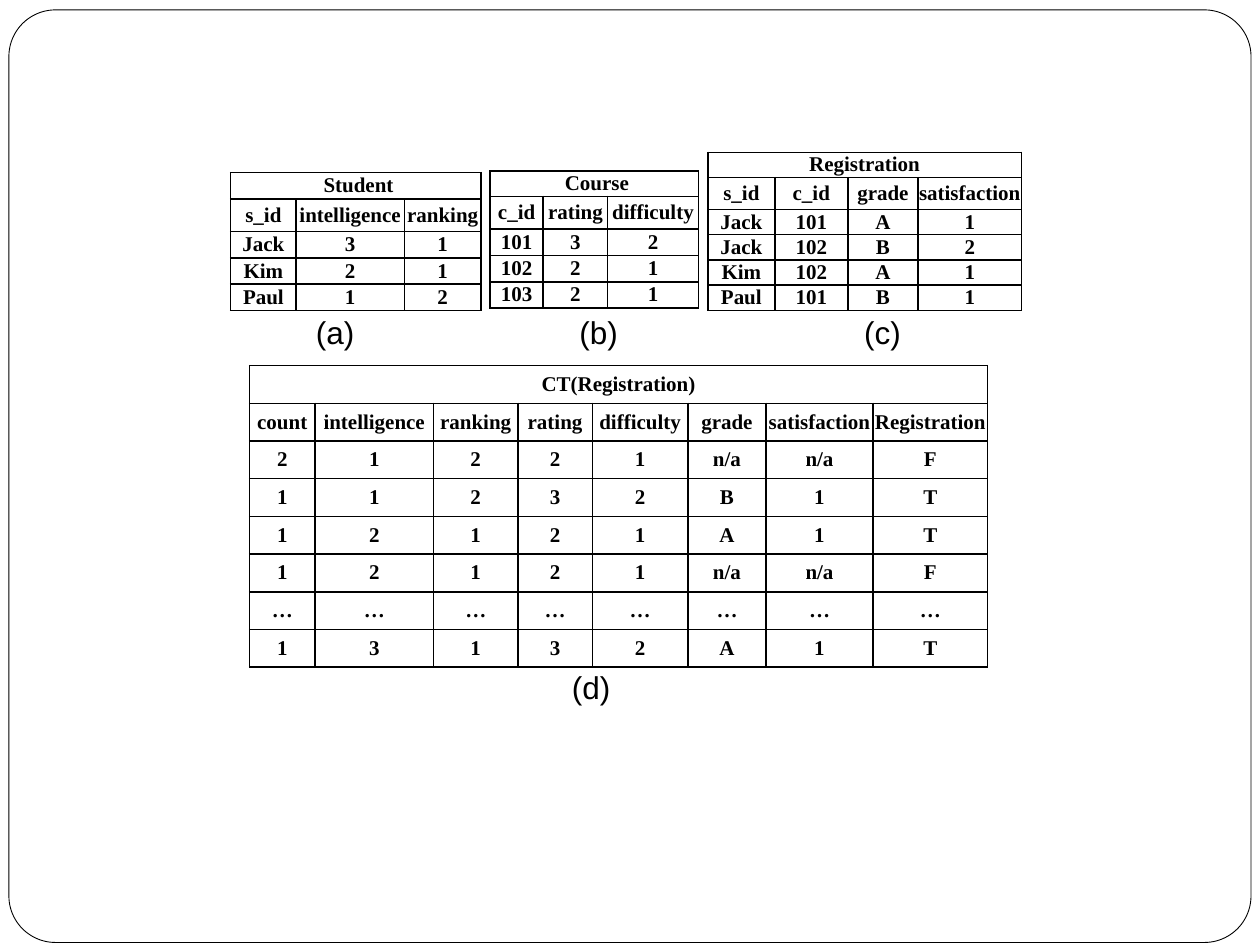
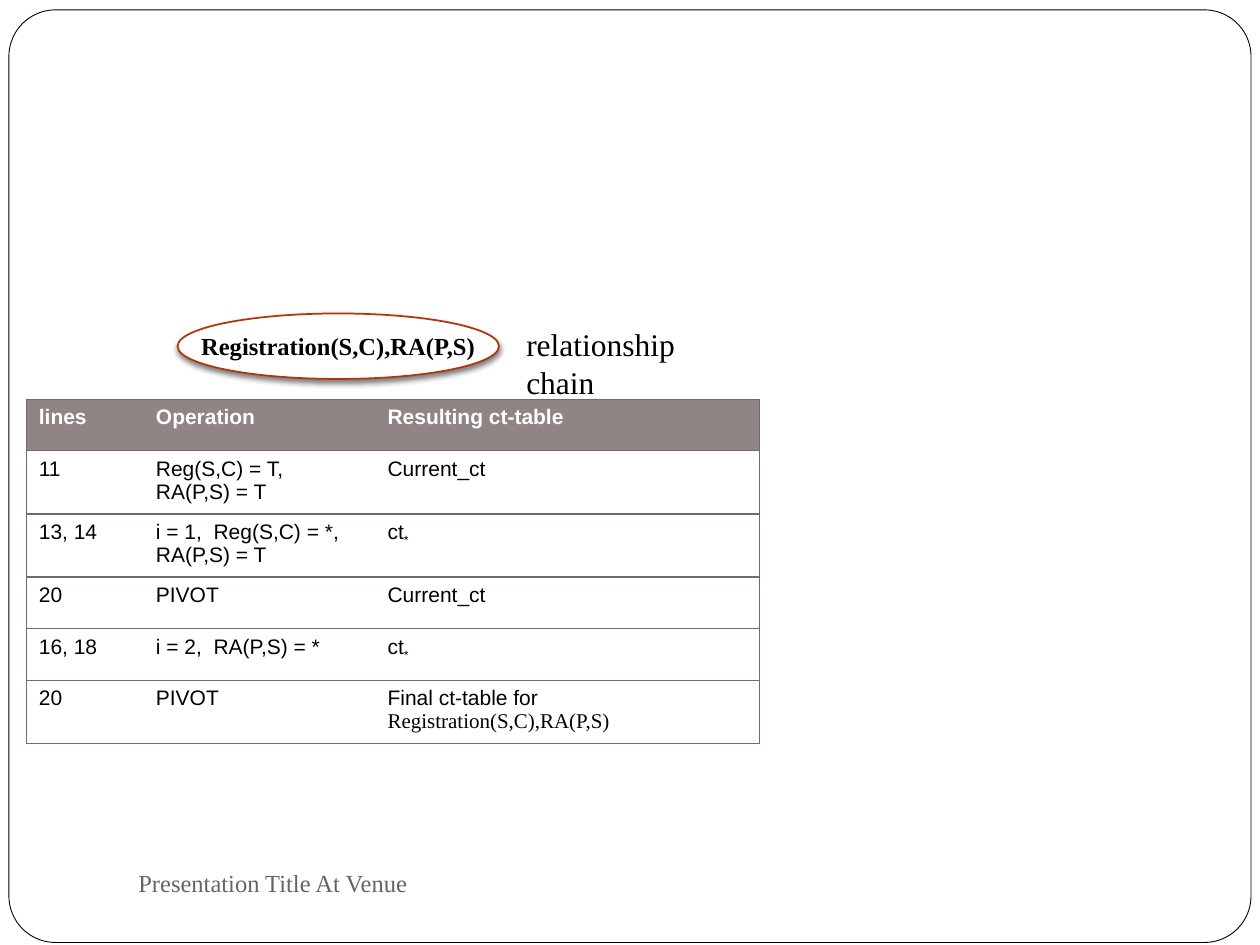
from dataclasses import dataclass
from lxml.etree import SubElement
from pptx import Presentation
from pptx.dml.color import RGBColor
from pptx.enum.shapes import MSO_SHAPE
from pptx.enum.text import MSO_ANCHOR, PP_ALIGN
from pptx.oxml.ns import qn
from pptx.util import Cm, Pt


@dataclass(frozen=True)
class Theme:
    ink: str = "000000"
    paper: str = "FFFFFF"
    rust: str = "B1360B"
    head: str = "918485"
    rule: str = "75696A"
    muted: str = "696464"
    serif: str = "Times New Roman"
    sans: str = "Arial"
    small: float = 12
    mid: float = 14
    large: float = 18


LOOK = Theme()


def tint(code):
    return RGBColor.from_string(code)


def add_run(para, text, size, face, color=LOOK.ink, bold=False):
    run = para.add_run()
    run.text = text
    font = run.font
    font.size, font.name, font.bold = Pt(size), face, bold
    font.color.rgb = tint(color)
    return run


def add_form(slide, kind, box, line, width):
    form = slide.shapes.add_shape(kind, *map(Cm, box))
    form.shadow.inherit = False
    form.fill.solid()
    form.fill.fore_color.rgb = tint(LOOK.paper)
    form.line.color.rgb = tint(line)
    form.line.width = Pt(width)
    return form


def add_note(slide, box, text, size, face, color=LOOK.ink, anchor=MSO_ANCHOR.TOP):
    frame = slide.shapes.add_textbox(*map(Cm, box)).text_frame
    frame.word_wrap = True
    frame.vertical_anchor = anchor
    add_run(frame.paragraphs[0], text, size, face, color)


def add_grid(slide, spot, cols, rows):
    x, y = spot
    box = (x, y, sum(cols), sum(rows))
    grid = slide.shapes.add_table(len(rows), len(cols), *map(Cm, box)).table
    grid.first_row = grid.horz_banding = False
    for col, width in zip(grid.columns, cols):
        col.width = Cm(width)
    for row, height in zip(grid.rows, rows):
        row.height = Cm(height)
    return grid


def style_cell(cell, fill, color, width, sides="LRTB"):
    props = cell._tc.get_or_add_tcPr()
    for side in "LRTB":
        line = SubElement(props, qn(f"a:ln{side}"), w=str(Pt(width)))
        if side in sides:
            solid = SubElement(line, qn("a:solidFill"))
            SubElement(solid, qn("a:srgbClr"), val=color)
        else:
            SubElement(line, qn("a:noFill"))
    cell.fill.solid()
    cell.fill.fore_color.rgb = tint(fill)


def data_table(slide, spot, title, cols, rows, body):
    grid = add_grid(slide, spot, cols, rows)
    grid.cell(0, 0).merge(grid.cell(0, len(cols) - 1))
    texts = [[title] + [""] * (len(cols) - 1)] + [line.split() for line in body]
    for r, line in enumerate(texts):
        for c, text in enumerate(line):
            cell = grid.cell(r, c)
            style_cell(cell, LOOK.paper, LOOK.ink, 1)
            cell.margin_left = cell.margin_right = 0
            cell.margin_top = cell.margin_bottom = 0
            cell.vertical_anchor = MSO_ANCHOR.MIDDLE
            para = cell.text_frame.paragraphs[0]
            para.alignment = PP_ALIGN.CENTER
            if text:
                add_run(para, text, LOOK.small, LOOK.serif, bold=True)
            if text == "…":
                cell._tc.get_or_add_tcPr().set("vert", "eaVert")


def step_table(slide, spot):
    sans, serif = LOOK.sans, LOOK.serif
    star = [("ct", sans), ("*", sans)]
    steps = [
        ("lines", "Operation", "Resulting ct-table"),
        ("11", "Reg(S,C) = T, RA(P,S) = T", "Current_ct"),
        ("13, 14", "i = 1,  Reg(S,C) = *, RA(P,S) = T", star),
        ("20", "PIVOT", "Current_ct"),
        ("16, 18", "i = 2,  RA(P,S) = *", star),
        ("20", "PIVOT", [("Final ct-table for ", sans),
                         ("Registration(S,C),RA(P,S)", serif)]),
    ]
    grid = add_grid(slide, spot, [2.36, 4.67, 7.75], [1.04] * 5 + [1.12])
    for r, step in enumerate(steps):
        top = r == 0
        for c, part in enumerate(step):
            cell = grid.cell(r, c)
            sides = "TB" + ("L", "", "R")[c]
            style_cell(cell, LOOK.head if top else LOOK.paper, LOOK.rule, 0.75, sides)
            para = cell.text_frame.paragraphs[0]
            for text, face in [(part, sans)] if isinstance(part, str) else part:
                run = add_run(para, text, LOOK.small, face,
                              LOOK.paper if top else LOOK.ink, top)
                if text == "*":
                    run.font._element.set("baseline", "-25000")


def chain_oval(slide, box):
    oval = add_form(slide, MSO_SHAPE.OVAL, box, LOOK.rust, 1)
    glow = SubElement(oval._element.spPr.find(qn("a:effectLst")), qn("a:outerShdw"),
                      blurRad=str(Pt(3)), dist=str(Pt(2)), dir="5400000", rotWithShape="0")
    shade = SubElement(glow, qn("a:srgbClr"), val=LOOK.ink)
    SubElement(shade, qn("a:alpha"), val="50000")
    frame = oval.text_frame
    frame.word_wrap = False
    frame.vertical_anchor = MSO_ANCHOR.MIDDLE
    frame.margin_left = frame.margin_right = 0
    frame.margin_top = frame.margin_bottom = 0
    para = frame.paragraphs[0]
    para.alignment = PP_ALIGN.CENTER
    add_run(para, "Registration(S,C),RA(P,S)", LOOK.mid, LOOK.serif, bold=True)


def new_slide(deck):
    slide = deck.slides.add_slide(deck.slide_layouts[6])
    border = add_form(slide, MSO_SHAPE.ROUNDED_RECTANGLE,
                      (0.18, 0.2, 25.04, 18.8), LOOK.ink, 0.5)
    border.adjustments[0] = 0.05
    return slide


def data_slide(deck):
    slide = new_slide(deck)
    data_table(slide, (4.65, 3.48), " Student", [1.32, 2.18, 1.55],
               [0.53, 0.66] + [0.53] * 3,
               ["s_id intelligence ranking", "Jack 3 1", "Kim 2 1", "Paul 1 2"])
    data_table(slide, (14.27, 3.07), " Registration ", [1.35, 1.47, 1.42, 2.08],
               [0.51, 0.64] + [0.51] * 4,
               ["s_id c_id grade satisfaction", "Jack 101 A 1", "Jack 102 B 2",
                "Kim 102 A 1", "Paul 101 B 1"])
    data_table(slide, (9.88, 3.45), " Course", [1.07, 1.3, 1.83],
               [0.51, 0.66] + [0.53] * 3,
               ["c_id rating difficulty", "101 3 2", "102 2 1", "103 2 1"])
    data_table(slide, (5.03, 7.37), "CT(Registration)",
               [1.32, 2.39, 1.7, 1.5, 1.93, 1.57, 2.16, 2.31], [0.76] * 8,
               ["count intelligence ranking rating difficulty grade satisfaction Registration",
                "2 1 2 2 1 n/a n/a F", "1 1 2 3 2 B 1 T", "1 2 1 2 1 A 1 T",
                "1 2 1 2 1 n/a n/a F", "… … … … … … … …", "1 3 1 3 2 A 1 T"])
    for mark, x, y in [("a", 6.12, 6.18), ("b", 11.43, 6.18),
                       ("c", 17.17, 6.18), ("d", 11.28, 13.34)]:
        add_note(slide, (x, y, 1.57, 1.02), f"({mark})", LOOK.large, LOOK.sans)


def chain_slide(deck):
    slide = new_slide(deck)
    add_note(slide, (2.54, 17.15, 11, 1.27), "Presentation Title At Venue",
             LOOK.mid, LOOK.serif, LOOK.muted, MSO_ANCHOR.MIDDLE)
    chain_oval(slide, (3.58, 6.32, 6.48, 1.32))
    step_table(slide, (0.53, 8.05))
    add_note(slide, (10.36, 6.43, 4.95, 1.02), "relationship chain",
             LOOK.large, LOOK.serif)


def main():
    deck = Presentation()
    deck.slide_width, deck.slide_height = Cm(25.4), Cm(19.05)
    data_slide(deck)
    chain_slide(deck)
    deck.save("out.pptx")


if __name__ == "__main__":
    main()
